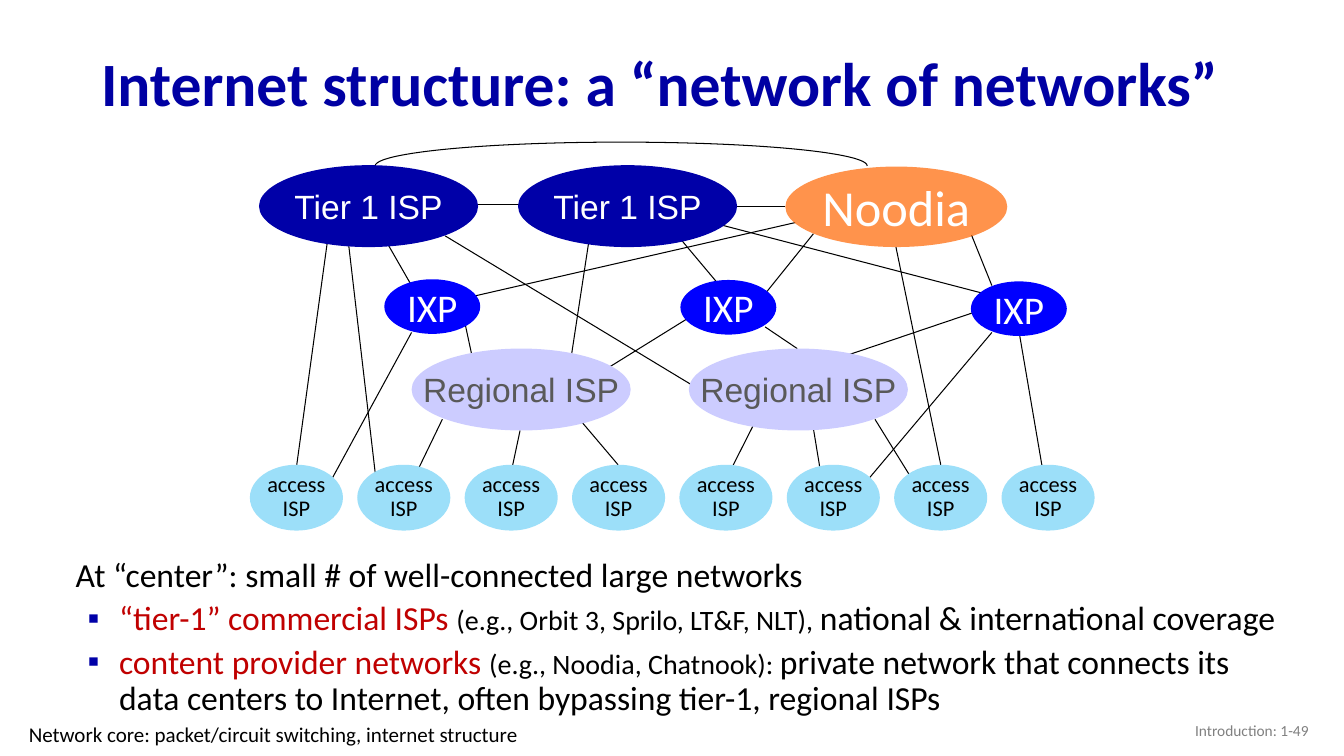
import pptx
import pptx.util
import pptx.dml.color
import pptx.enum.shapes
import pptx.enum.text
from lxml import etree

Pt = pptx.util.Pt
PP_ALIGN = pptx.enum.text.PP_ALIGN
ANCHOR = pptx.enum.text.MSO_ANCHOR
SHAPE = pptx.enum.shapes.MSO_SHAPE

TITLE = "Internet structure: a “network of networks”"
FOOTER = "Network core: packet/circuit switching, internet structure"
PAGE = "Introduction: 1-49"

# Each paragraph is a list of (text, size, colour)
BODY = [
    [("At “center”: small # of well-connected large networks", 24, "000000")],
    [("“tier-1” commercial ISPs ", 24, "C00000"),
     ("(e.g., Orbit 3, Sprilo, LT&F, NLT), ", 20, "000000"),
     ("national & international coverage", 24, "000000")],
    [("content provider networks ", 24, "C00000"),
     ("(e.g., Noodia, Chatnook): ", 20, "000000"),
     ("private network that connects its data centers to Internet, "
      "often bypassing tier-1, regional ISPs", 24, "000000")],
]

# Kind: label lines, width, height, fill, opacity %, font, size, text colour
KINDS = {
    "access": (["access", "ISP"], 66.5, 47, "9CDFF9", 100, "Calibri", 16, "000000"),
    "regional": (["Regional ISP"], 156.5, 58.5, "CCCCFF", 100, "Arial", 24, "595959"),
    "tier 1": (["Tier 1 ISP"], 156.5, 58.5, "0000A8", 100, "Arial", 24, "FFFFFF"),
    "content": (["Noodia"], 158.5, 57.5, "FF6600", 70, "Calibri", 36, "FFFFFF"),
    "exchange": (["IXP"], 68.5, 39, "0000FF", 100, "Calibri", 28, "FFFFFF"),
}
ACCESS_COUNT, ACCESS_LEFT, ACCESS_TOP, ACCESS_STEP = 8, 178.5, 332, 76.7
NETWORKS = [("access", ACCESS_LEFT + i * ACCESS_STEP, ACCESS_TOP)
            for i in range(ACCESS_COUNT)]
NETWORKS += [
    ("regional", 294, 249), ("regional", 492, 249),
    ("tier 1", 185, 118), ("tier 1", 370, 118), ("content", 561, 119),
    ("exchange", 274.5, 199.5), ("exchange", 486, 200), ("exchange", 693.5, 201),
]

# From x, from y, to x, to y
ACCESS_LINKS = [
    (236, 157, 212, 332), (371.5, 307.5, 363.5, 345), (316, 299.5, 294, 345),
    (248.5, 170, 269.5, 350.5), (294, 237.5, 232.5, 350.5), (408, 292.5, 441.5, 332),
    (540, 300, 517, 345.5), (581, 306, 587.5, 345.5), (625, 299.5, 657.5, 352),
    (640, 176.5, 672, 332), (728, 237.5, 746.5, 345.5), (708.5, 237.5, 612.5, 351.5),
]
REGIONAL_LINKS = [
    (332.5, 232.5, 338.5, 260.5), (421, 170, 408, 255), (492, 227, 427.5, 267),
    (318, 168.5, 497.5, 277), (702, 221, 600, 255.5), (546.5, 233.5, 569.5, 249),
]
CORE_LINKS = [
    (568, 159, 319, 216), (694, 168, 708.5, 204), (581, 167, 542, 215.5),
    (380, 146, 338.5, 146), (561, 147.5, 526.5, 147.5), (274.5, 170, 294, 204),
    (485.5, 170, 517, 207.5), (512.5, 160, 704, 210),
]


def color(value):
    return pptx.dml.color.RGBColor.from_string(value)


def add_element(parent, tag, **attributes):
    return etree.SubElement(parent, pptx.oxml.ns.qn(tag), attributes)


def style_run(run, font, size, value, bold=False):
    run.font.name = font
    run.font.size = Pt(size)
    run.font.bold = bold
    run.font.color.rgb = color(value)


def style_line(line):
    line.color.rgb = color("000000")
    line.width = Pt(0.75)


def add_link(slide, ends):
    connector = slide.shapes.add_connector(
        pptx.enum.shapes.MSO_CONNECTOR.STRAIGHT, *map(Pt, ends))
    style_line(connector.line)
    add_element(connector.element.spPr, "a:effectLst")


def add_peering_arc(slide):
    """Join the first tier 1 network to the content provider over the top."""
    arc = slide.shapes.add_shape(SHAPE.ARC, Pt(268), Pt(101.5), Pt(351.5), Pt(34))
    arc.adjustments[0] = 106.82
    arc.adjustments[1] = 0
    arc.shadow.inherit = False
    arc.fill.background()
    style_line(arc.line)


def add_network(slide, kind, left, top):
    lines, width, height, fill, opacity, font, size, text_color = KINDS[kind]
    shape = slide.shapes.add_shape(SHAPE.OVAL, Pt(left), Pt(top), Pt(width), Pt(height))
    shape.shadow.inherit = False
    shape.fill.solid()
    shape.fill.fore_color.rgb = color(fill)
    if opacity < 100:
        fill_color = shape.element.spPr.find(".//" + pptx.oxml.ns.qn("a:srgbClr"))
        add_element(fill_color, "a:alpha", val=str(opacity * 1000))
    shape.line.fill.background()
    frame = shape.text_frame
    frame.word_wrap = False
    frame.vertical_anchor = ANCHOR.MIDDLE
    frame.text = "\n".join(lines)
    for paragraph in frame.paragraphs:
        paragraph.alignment = PP_ALIGN.CENTER
        if len(lines) > 1:
            paragraph.line_spacing = 0.9
        style_run(paragraph.runs[0], font, size, text_color)


def add_text_box(slide, left, top, width, height):
    frame = slide.shapes.add_textbox(Pt(left), Pt(top), Pt(width), Pt(height)).text_frame
    frame.word_wrap = True
    return frame


def set_indent(paragraph, margin, first):
    properties = paragraph._p.get_or_add_pPr()
    properties.set("marL", str(Pt(margin)))
    properties.set("indent", str(Pt(first)))
    return properties


def add_body(slide):
    frame = add_text_box(slide, 42, 395.5, 888.5, 144)
    for index, parts in enumerate(BODY):
        paragraph = frame.add_paragraph() if index else frame.paragraphs[0]
        if index:
            paragraph.level = 1
            properties = set_indent(paragraph, 36, -22.5)
            bullet_color = add_element(properties, "a:buClr")
            add_element(bullet_color, "a:srgbClr", val="0000A8")
            add_element(properties, "a:buFont", typeface="Arial")
            add_element(properties, "a:buChar", char="▪")
            paragraph.space_before = Pt(5)
        else:
            set_indent(paragraph, 5, 0)
        paragraph.line_spacing = 0.9
        for text, size, value in parts:
            run = paragraph.add_run()
            run.text = text
            style_run(run, "Calibri", size, value)


def add_title(slide):
    title = slide.shapes.title
    title.left, title.top, title.width, title.height = map(Pt, (65, 26.5, 828, 70.5))
    frame = title.text_frame
    frame.text = TITLE
    frame.auto_size = pptx.enum.text.MSO_AUTO_SIZE.NONE
    frame.vertical_anchor = ANCHOR.MIDDLE
    paragraph = frame.paragraphs[0]
    paragraph.alignment = PP_ALIGN.LEFT
    paragraph.line_spacing = 0.9
    style_run(paragraph.runs[0], "Calibri", 44, "0000A3", bold=True)


def add_footer(slide):
    section = add_text_box(slide, 4.5, 512, 480, 25)
    section.text = FOOTER
    set_indent(section.paragraphs[0], 31.5, -22.5)
    style_run(section.paragraphs[0].runs[0], "Calibri", 15, "000000")
    page = add_text_box(slide, 726, 507.5, 216, 29)
    page.text = PAGE
    page.vertical_anchor = ANCHOR.MIDDLE
    page.paragraphs[0].alignment = PP_ALIGN.RIGHT
    style_run(page.paragraphs[0].runs[0], "Calibri", 11, "808080")


def main():
    presentation = pptx.Presentation()
    presentation.slide_width = Pt(960)
    presentation.slide_height = Pt(540)
    slide = presentation.slides.add_slide(presentation.slide_layouts[5])
    add_title(slide)
    for ends in ACCESS_LINKS + REGIONAL_LINKS + CORE_LINKS:
        add_link(slide, ends)
    add_peering_arc(slide)
    for network in NETWORKS:
        add_network(slide, *network)
    add_body(slide)
    add_footer(slide)
    presentation.save("out.pptx")


if __name__ == "__main__":
    main()
